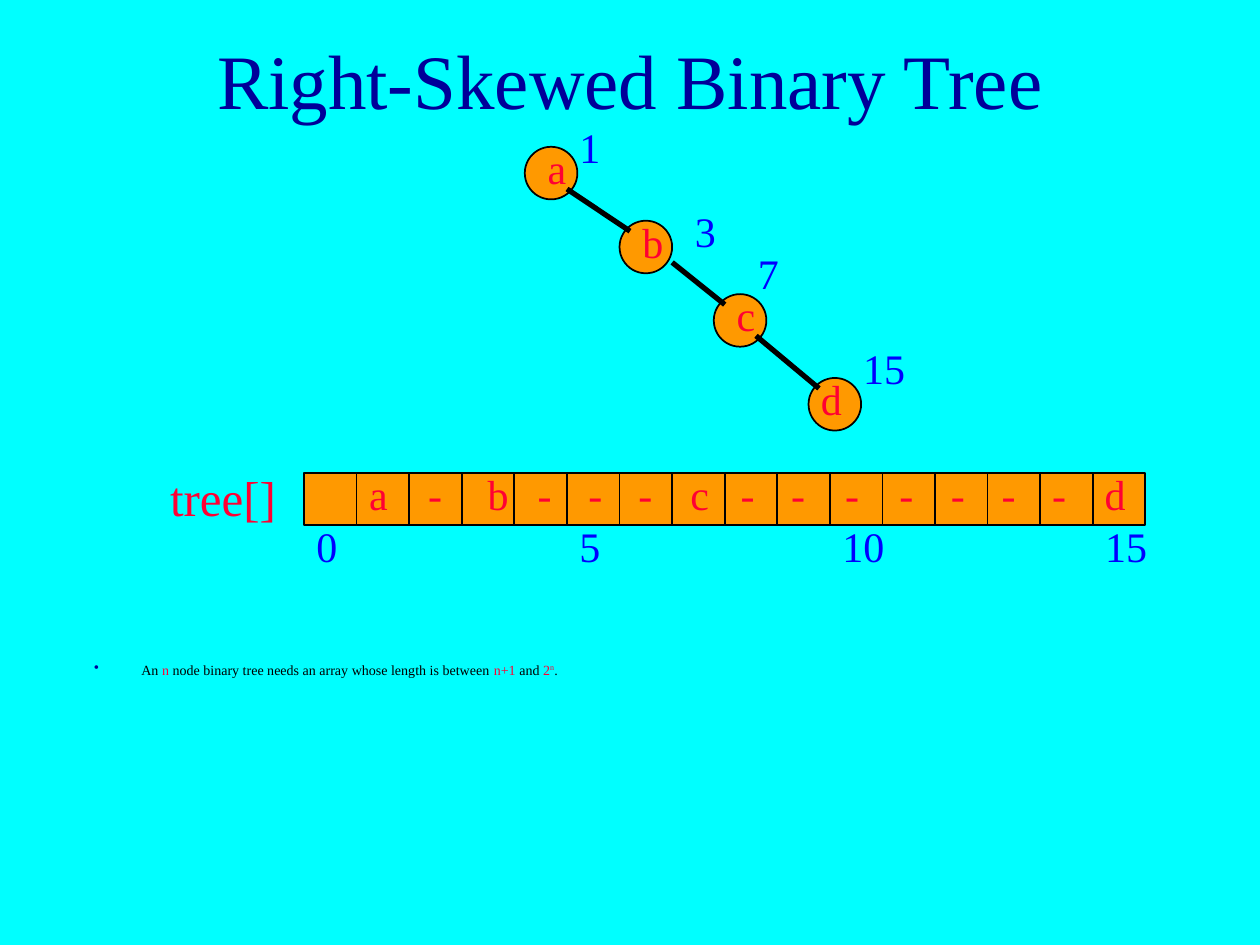
import pptx
import pptx.dml.color
import pptx.enum.shapes
import pptx.enum.text
import pptx.oxml
import pptx.oxml.ns
import pptx.util
from lxml import etree

Cm = pptx.util.Cm
Pt = pptx.util.Pt
SHAPE = pptx.enum.shapes.MSO_SHAPE
ALIGN = pptx.enum.text.PP_ALIGN
ANCHOR = pptx.enum.text.MSO_ANCHOR

COLORS = {
    "background": "00FFFF",
    "title": "000099",
    "body": "000000",
    "accent": "FF0033",
    "index": "0000FF",
    "cell": "FF9900",
    "outline": "000000",
}
FONT = "Times New Roman"
CELL = 1.06
ARRAY_LEFT = 6.13
ARRAY_TOP = 9.53
LETTER_RAISE = 0.21
TEXT_HEIGHT = 1.27

NODES = [
    ("a", 10.58, 2.96, 0.21),
    ("b", 12.49, 4.45, 0.21),
    ("c", 14.39, 5.93, 0.21),
    ("d", 16.3, 7.62, 0),
]
POSITIONS = [
    ("1", 11.43, 2.33, 1.06),
    ("3", 13.76, 4.02, 1.06),
    ("7", 15.03, 4.87, 1.06),
    ("15", 17.15, 6.77, 1.91),
]
EDGES = [
    (11.43, 3.81, 12.7, 4.66),
    (13.55, 5.29, 14.61, 6.14),
    (15.24, 6.77, 16.51, 7.83),
]
ENTRIES = "a-b---c-------d"
ENTRY_LEFTS = [7.19, 8.38, 9.58, 10.59, 11.61, 12.62, 13.67, 14.68,
               15.7, 16.79, 17.88, 18.92, 19.94, 20.96, 22.02]
ENTRY_WIDTHS = {"a": 0.89, "b": 0.91, "c": 0.89, "d": 0.91, "-": 0.79}


def color(name):
    return pptx.dml.color.RGBColor.from_string(COLORS[name])


def add_span(para, text, size, color_name):
    span = para.add_run()
    span.text = text
    span.font.name = FONT
    span.font.size = Pt(size)
    span.font.color.rgb = color(color_name)
    return span


def add_box(shapes, left, top, width, height, wrap=True):
    box = shapes.add_textbox(Cm(left), Cm(top), Cm(width), Cm(height))
    box.text_frame.word_wrap = wrap
    return box


def add_label(shapes, text, left, top, width, color_name,
              size=24, height=TEXT_HEIGHT, wrap=True):
    box = add_box(shapes, left, top, width, height, wrap)
    box.text_frame.auto_size = pptx.enum.text.MSO_AUTO_SIZE.SHAPE_TO_FIT_TEXT
    add_span(box.text_frame.paragraphs[0], text, size, color_name)


def add_cell(shapes, kind, left, top):
    cell = shapes.add_shape(kind, Cm(left), Cm(top), Cm(CELL), Cm(CELL))
    cell.shadow.inherit = False
    cell.fill.solid()
    cell.fill.fore_color.rgb = color("cell")
    cell.line.color.rgb = color("outline")
    cell.line.width = Pt(1)


def add_edge(shapes, *ends):
    edge = shapes.add_connector(pptx.enum.shapes.MSO_CONNECTOR.STRAIGHT,
                                *[Cm(end) for end in ends])
    edge.line.color.rgb = color("outline")
    edge.line.width = Pt(3)
    etree.SubElement(edge._element.spPr, pptx.oxml.ns.qn("a:effectLst"))


def add_title(shapes):
    box = add_box(shapes, 1.91, 0.42, 21.59, 2.33)
    box.text_frame.vertical_anchor = ANCHOR.MIDDLE
    para = box.text_frame.paragraphs[0]
    para.alignment = ALIGN.CENTER
    add_span(para, "Right-Skewed Binary Tree", 44, "title")


def add_bullet(para):
    properties = para._p.get_or_add_pPr()
    properties.set("marL", str(Cm(0.95)))
    properties.set("indent", str(-Cm(0.95)))
    namespace = pptx.oxml.ns.nsdecls("a")
    for markup in (
        f'<a:buClr {namespace}><a:srgbClr val="{COLORS["title"]}"/></a:buClr>',
        f'<a:buChar {namespace} char="•"/>',
    ):
        properties.append(pptx.oxml.parse_xml(markup))


def add_statement(shapes):
    box = add_box(shapes, 1.65, 13.34, 21.59, 0.2)
    box.text_frame.margin_top = box.text_frame.margin_bottom = Cm(0.08)
    para = box.text_frame.paragraphs[0]
    add_bullet(para)
    para.line_spacing = 0.7
    for text, color_name in [
        ("An ", "body"),
        ("n", "accent"),
        (" node binary tree needs an array whose length is between ", "body"),
        ("n+1", "accent"),
        (" and ", "body"),
        ("2", "accent"),
    ]:
        add_span(para, text, 8, color_name)
    exponent = add_span(para, "n", 8, "accent")
    exponent._r.get_or_add_rPr().set("baseline", "30000")
    add_span(para, ".", 8, "body")


def add_tree(shapes):
    for letter, left, top, shift in NODES:
        add_cell(shapes, SHAPE.OVAL, left, top)
        add_label(shapes, letter, left + shift, top - LETTER_RAISE,
                  CELL - shift, "accent")
    for text, left, top, width in POSITIONS:
        add_label(shapes, text, left, top, width, "index")
    for ends in EDGES:
        add_edge(shapes, *ends)


def add_array(shapes):
    for index in range(len(ENTRIES) + 1):
        add_cell(shapes, SHAPE.RECTANGLE, ARRAY_LEFT + index * CELL, ARRAY_TOP)
    add_label(shapes, "tree[]", 3.18, 9.31, 3.18, "accent", 28, 1.45)
    for index in range(0, 16, 5):
        width = 1.06 if index < 10 else 1.7
        add_label(shapes, str(index), ARRAY_LEFT + index * CELL, 10.37,
                  width, "index")
    for entry, left in zip(ENTRIES, ENTRY_LEFTS):
        add_label(shapes, entry, left, ARRAY_TOP - LETTER_RAISE,
                  ENTRY_WIDTHS[entry], "accent", wrap=False)


def main():
    deck = pptx.Presentation()
    deck.slide_width = Cm(25.4)
    deck.slide_height = Cm(19.05)
    page = deck.slides.add_slide(deck.slide_layouts[6])
    page.background.fill.solid()
    page.background.fill.fore_color.rgb = color("background")
    add_title(page.shapes)
    add_statement(page.shapes)
    add_tree(page.shapes.add_group_shape().shapes)
    add_array(page.shapes.add_group_shape().shapes)
    deck.save("out.pptx")


if __name__ == "__main__":
    main()
